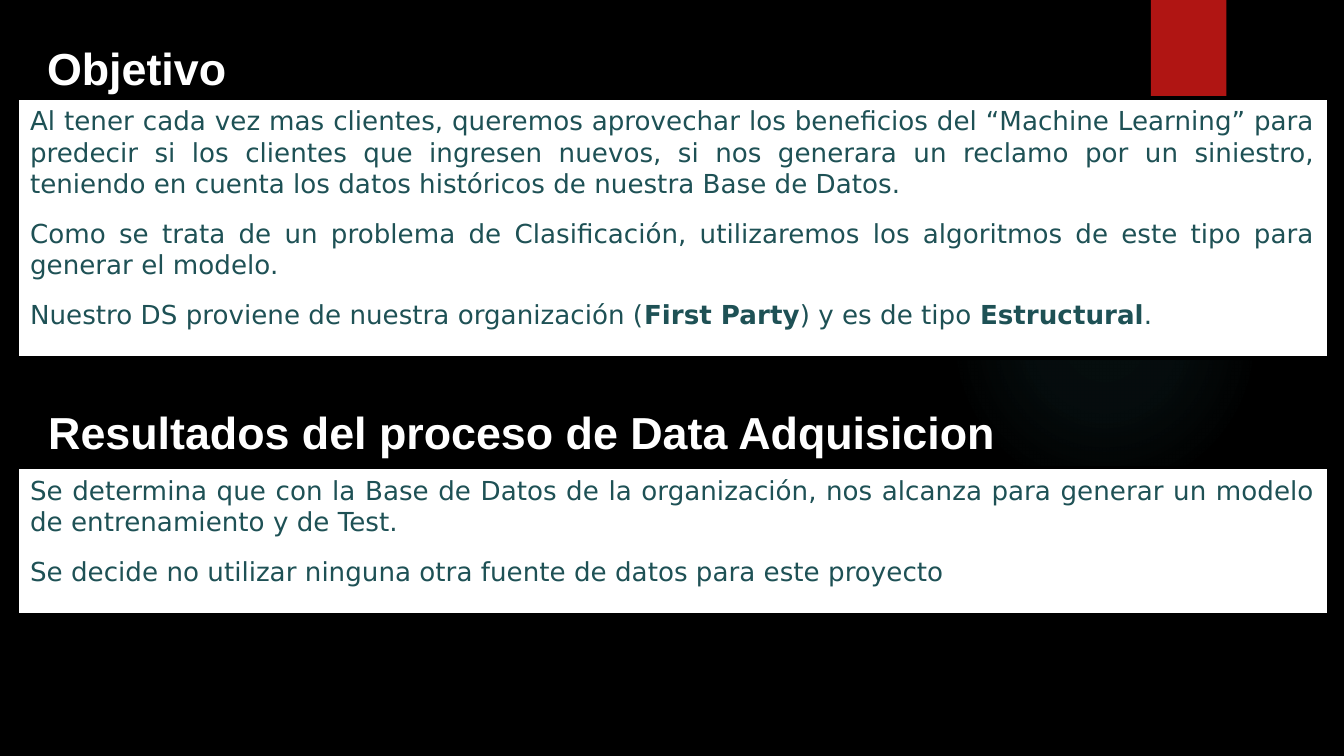
import lxml.etree
import pptx
import pptx.dml.color
import pptx.enum.shapes
import pptx.enum.text
import pptx.util

PX = 9525
BLACK = pptx.dml.color.RGBColor(0x00, 0x00, 0x00)
WHITE = pptx.dml.color.RGBColor(0xFF, 0xFF, 0xFF)
RED = pptx.dml.color.RGBColor(0xB0, 0x15, 0x13)
TEAL = pptx.dml.color.RGBColor(0x1E, 0x51, 0x55)
GLOW = pptx.dml.color.RGBColor(0x50, 0xB9, 0xC1)
GLOW_STOPS = [(0, 7), (36, 6), (69, 0)]
HEADING_FONT = {"name": "Arial", "size": pptx.util.Pt(24), "bold": True}
BODY_FONT = {"name": "DejaVu Sans", "size": pptx.util.Pt(14)}
HEADING_FRAME = {
    "word_wrap": True,
    "auto_size": pptx.enum.text.MSO_AUTO_SIZE.NONE,
    "vertical_anchor": pptx.enum.text.MSO_ANCHOR.MIDDLE,
}
PANEL_FRAME = {
    "word_wrap": True,
    "auto_size": pptx.enum.text.MSO_AUTO_SIZE.SHAPE_TO_FIT_TEXT,
    "vertical_anchor": pptx.enum.text.MSO_ANCHOR.TOP,
}
PARAGRAPH = {
    "alignment": pptx.enum.text.PP_ALIGN.JUSTIFY,
    "space_before": pptx.util.Pt(10),
}


def apply(target, values):
    for name, value in values.items():
        setattr(target, name, value)


def add_plain_shape(kind, box, color):
    shape = slide.shapes.add_shape(kind, *[length * PX for length in box])
    shape.shadow.inherit = False
    shape.line.fill.background()
    if color is not None:
        shape.fill.solid()
        shape.fill.fore_color.rgb = color
    return shape


presentation = pptx.Presentation()
apply(presentation, {"slide_width": 960 * PX, "slide_height": 540 * PX})
slide = presentation.slides.add_slide(presentation.slide_layouts[5])
slide.background.fill.solid()
slide.background.fill.fore_color.rgb = BLACK

glow = add_plain_shape(pptx.enum.shapes.MSO_SHAPE.OVAL, (678, 132, 222, 222), None)
stops = "".join(
    f'<a:gs pos="{position * 1000}"><a:srgbClr val="{GLOW}">'
    f'<a:alpha val="{alpha * 1000}"/></a:srgbClr></a:gs>'
    for position, alpha in GLOW_STOPS
)
gradient = lxml.etree.fromstring(
    '<a:gradFill xmlns:a="http://schemas.openxmlformats.org/drawingml/2006/main">'
    f"<a:gsLst>{stops}</a:gsLst>"
    '<a:path path="circle"><a:fillToRect l="50000" t="50000" r="50000" b="50000"/>'
    "</a:path></a:gradFill>"
)
glow._element.spPr.insert(2, gradient)
add_plain_shape(pptx.enum.shapes.MSO_SHAPE.RECTANGLE, (822, 0, 54, 90), RED)

panels = [
    ((12, 70, 937, 186), [
        ["Al tener cada vez mas clientes, queremos aprovechar los beneficios del “Machine Learning” para predecir si los clientes que ingresen nuevos, si nos generara un reclamo por un siniestro, teniendo en cuenta los datos históricos de nuestra Base de Datos."],
        ["Como se trata de un problema de Clasificación, utilizaremos los algoritmos de este tipo para generar el modelo."],
        ["Nuestro DS proviene de nuestra organización (", "First Party", ") y es de tipo ", "Estructural", "."],
    ]),
    ((12, 334, 937, 105), [
        ["Se determina que con la Base de Datos de la organización, nos alcanza para generar un modelo de entrenamiento y de Test."],
        ["Se decide no utilizar ninguna otra fuente de datos para este proyecto"],
    ]),
]
for box, paragraphs in panels:
    panel = add_plain_shape(pptx.enum.shapes.MSO_SHAPE.RECTANGLE, box, WHITE)
    panel.line.color.rgb = BLACK
    panel.line.width = pptx.util.Pt(2)
    frame = panel.text_frame
    apply(frame, PANEL_FRAME)
    for number, pieces in enumerate(paragraphs):
        paragraph = frame.add_paragraph() if number else frame.paragraphs[0]
        apply(paragraph, PARAGRAPH)
        for index, text in enumerate(pieces):
            run = paragraph.add_run()
            run.text = text
            apply(run.font, BODY_FONT)
            run.font.bold = index % 2 == 1
            run.font.color.rgb = TEAL

headings = [
    (slide.shapes.title, (24, 16, 661, 64), "Objetivo"),
    (slide.shapes.add_textbox(0, 0, 0, 0), (25, 276, 856, 64),
     "Resultados del proceso de Data Adquisicion"),
]
for shape, box, text in headings:
    edges = ("left", "top", "width", "height")
    apply(shape, {edge: length * PX for edge, length in zip(edges, box)})
    apply(shape.text_frame, HEADING_FRAME)
    paragraph = shape.text_frame.paragraphs[0]
    paragraph.alignment = pptx.enum.text.PP_ALIGN.LEFT
    run = paragraph.add_run()
    run.text = text
    apply(run.font, HEADING_FONT)
    run.font.color.rgb = WHITE

presentation.save("out.pptx")
